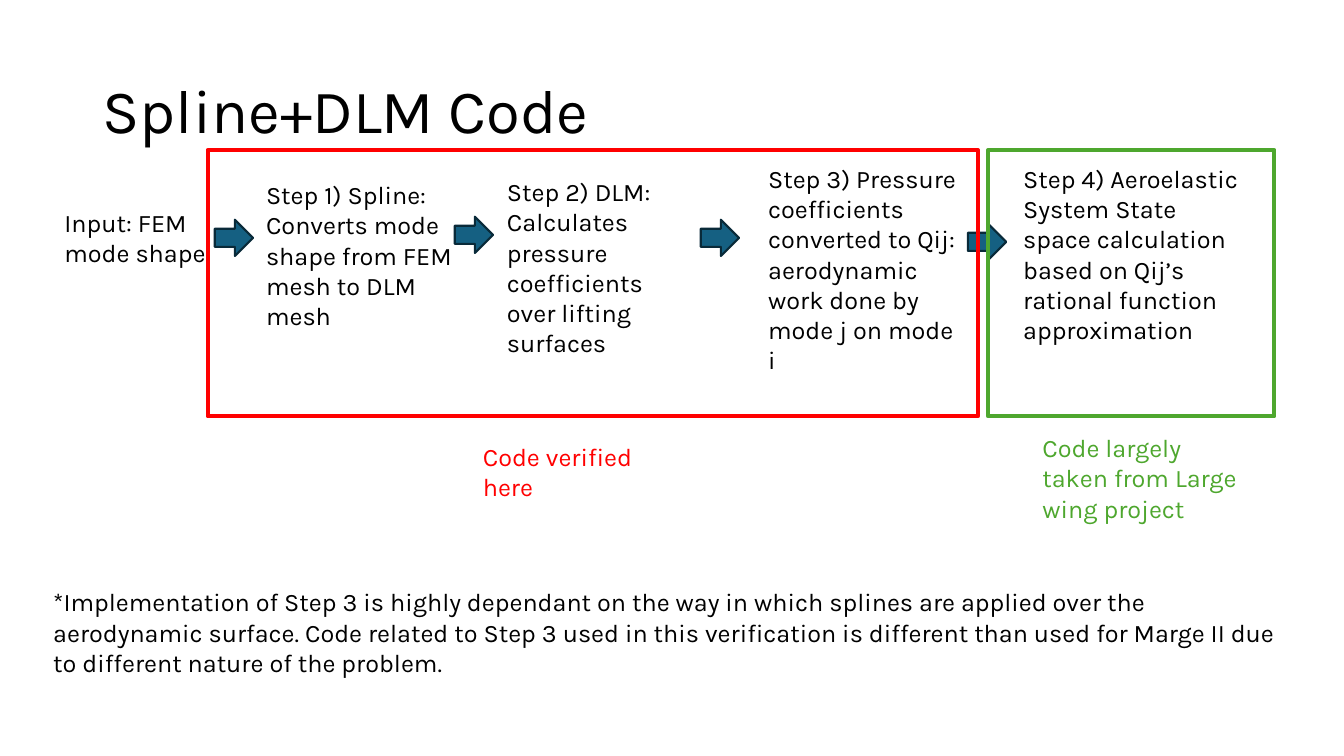
from pptx import Presentation
from pptx.dml.color import RGBColor
from pptx.enum.shapes import MSO_SHAPE
from pptx.enum.text import MSO_ANCHOR
from pptx.util import Emu, Pt

PX = 9144  # 100 px to the inch
COLORS = {
    "text": "000000",
    "arrow": "156082",
    "arrow_line": "092A39",
    "verified": "FF0000",
    "reused": "4EA72E",
}
STEPS = [  # text, box
    ("Input: FEM mode shape", (54, 201, 200, 71)),
    ("Step 1) Spline: Converts mode shape from FEM mesh to DLM mesh", (254, 173, 208, 162)),
    ("Step 2) DLM: Calculates pressure coefficients over lifting surfaces", (493, 170, 208, 162)),
    ("Step 3) Pressure coefficients converted to Qij: aerodynamic work done by "
     "mode j on mode i", (752, 157, 208, 192)),
    ("Step 4) Aeroelastic System State space calculation based on Qij’s rational "
     "function approximation", (1005, 157, 237, 192)),
]
ARROWS = [(213, 218), (451, 215), (695, 218), (960, 222)]
ARROW_SIZE = (38, 36)
FOOTNOTE = (
    "*Implementation of Step 3 is highly dependant on the way in which splines are "
    "applied over the aerodynamic surface. Code related to Step 3 used in this "
    "verification is different than used for Marge II due to different nature of "
    "the problem."
)


def color(name):
    return RGBColor.from_string(COLORS[name])


def emu(box):
    return [Emu(length * PX) for length in box]


def add_text(slide, box, text, color_name="text", size=18):
    text_box = slide.shapes.add_textbox(*emu(box))
    frame = text_box.text_frame
    frame.word_wrap = True
    paragraph = frame.paragraphs[0]
    paragraph.text = text
    paragraph.font.name = "Karla"
    paragraph.font.size = Pt(size)
    paragraph.font.color.rgb = color(color_name)
    return frame


def add_outlined(slide, kind, box, line, width, fill=None):
    shape = slide.shapes.add_shape(kind, *emu(box))
    shape.shadow.inherit = False
    if fill:
        shape.fill.solid()
        shape.fill.fore_color.rgb = color(fill)
    else:
        shape.fill.background()
    shape.line.color.rgb = color(line)
    shape.line.width = Pt(width)


def add_title(slide, box):
    frame = add_text(slide, box, "Spline+DLM Code", size=44)
    frame.vertical_anchor = MSO_ANCHOR.MIDDLE
    frame.paragraphs[0].line_spacing = 0.9


def add_flow(slide):
    for text, box in STEPS:
        add_text(slide, box, text)
    for corner in ARROWS:
        add_outlined(slide, MSO_SHAPE.RIGHT_ARROW, corner + ARROW_SIZE,
                     "arrow_line", 1.5, "arrow")


def add_code_group(slide, box, color_name, caption, offset, caption_height):
    """Frame around some steps, with a caption placed from its lower left corner."""
    left, top, width, height = box
    add_outlined(slide, MSO_SHAPE.RECTANGLE, box, color_name, 3)
    caption_box = (left + offset[0], top + height + offset[1], 218, caption_height)
    add_text(slide, caption_box, caption, color_name)


def main():
    presentation = Presentation()
    presentation.slide_width, presentation.slide_height = emu((1333, 750))
    slide = presentation.slides.add_slide(presentation.slide_layouts[6])

    add_title(slide, (92, 40, 1150, 145))
    add_flow(slide)
    # Frames with captions
    add_code_group(slide, (206, 149, 764, 264), "verified",
                   "Code verified here", (263, 20), 71)
    add_code_group(slide, (980, 149, 284, 264), "reused",
                   "Code largely taken from Large wing project", (44, 11), 101)
    # Footnote
    add_text(slide, (43, 577, 1246, 101), FOOTNOTE)

    presentation.save("out.pptx")


if __name__ == "__main__":
    main()
